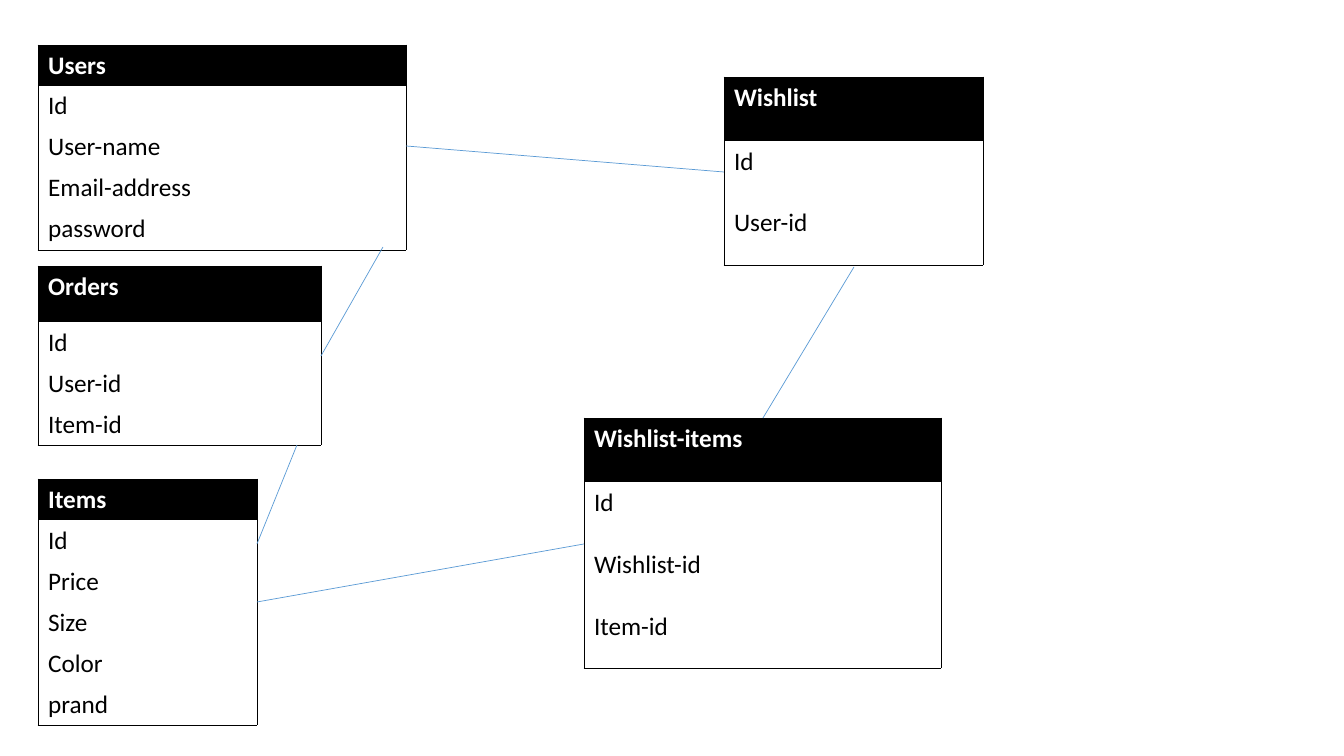
from lxml import etree
from pptx import Presentation
from pptx.dml.color import RGBColor
from pptx.enum.shapes import MSO_CONNECTOR
from pptx.oxml.ns import qn
from pptx.util import Pt

STRAIGHT = MSO_CONNECTOR.STRAIGHT
SCALE = 914400 / 100.8
THEME = {"font": "Calibri", "size": 18, "rule": 0.5,
         "dark": "000000", "light": "FFFFFF", "link": "5B9BD5"}


def px(num):
    """Turn pixels into EMU."""
    return round(num * SCALE)


def edge(cell, side, shown):
    """Add one cell border, drawn or empty."""
    line = etree.SubElement(cell._tc.get_or_add_tcPr(), qn(f"a:ln{side}"))
    if shown:
        line.set("w", str(Pt(THEME["rule"])))
        fill = etree.SubElement(line, qn("a:solidFill"))
        etree.SubElement(fill, qn("a:srgbClr"), val=THEME["dark"])
    else:
        etree.SubElement(line, qn("a:noFill"))


deck = Presentation()
deck.slide_width, deck.slide_height = px(1344), px(756)
slide = deck.slides.add_slide(deck.slide_layouts[6])
shapes = slide.shapes

# left, top, width, head height, row height, names
TABLES = [
    (38, 45, 368, 40, 41,
     ["Users", "Id", "User-name", "Email-address", "password"]),
    (38, 266, 283, 56, 41, ["Orders", "Id", "User-id", "Item-id"]),
    (38, 479, 219, 41, 41,
     ["Items", "Id", "Price", "Size", "Color", "prand"]),
    (584, 418, 357, 64, 62,
     ["Wishlist-items", "Id", "Wishlist-id", "Item-id"]),
    (724, 77, 259, 64, 62, ["Wishlist", "Id", "User-id"]),
]
for left, top, width, head, row, names in TABLES:
    count = len(names)
    high = head + row * (count - 1)
    table = shapes.add_table(count, 1, px(left), px(top),
                             px(width), px(high)).table
    table.horz_banding = False
    for i, name in enumerate(names):
        first = i == 0
        table.rows[i].height = px(head if first else row)
        cell = table.cell(i, 0)
        sides = {"L": True, "R": True, "T": first, "B": i == count - 1}
        for side, shown in sides.items():
            edge(cell, side, shown)
        back, ink = ("dark", "light") if first else ("light", "dark")
        cell.fill.solid()
        cell.fill.fore_color.rgb = RGBColor.from_string(THEME[back])
        cell.text = name
        font = cell.text_frame.paragraphs[0].runs[0].font
        style = {"name": THEME["font"], "size": Pt(THEME["size"]),
                 "bold": first}
        for key, value in style.items():
            setattr(font, key, value)
        font.color.rgb = RGBColor.from_string(THEME[ink])

LINKS = [
    (406, 146, 724, 172),  # Users to Wishlist
    (383, 247, 321, 356),  # Users to Orders
    (257, 602, 584, 544),  # Items to Wishlist-items
    (297, 445, 257, 544),  # Orders to Items
    (854, 267, 763, 418),  # Wishlist to Wishlist-items
]
for ends in LINKS:
    link = shapes.add_connector(STRAIGHT, *map(px, ends))
    link.line.width = Pt(THEME["rule"])
    link.line.color.rgb = RGBColor.from_string(THEME["link"])
    etree.SubElement(link._element.spPr, qn("a:effectLst"))

deck.save("out.pptx")
